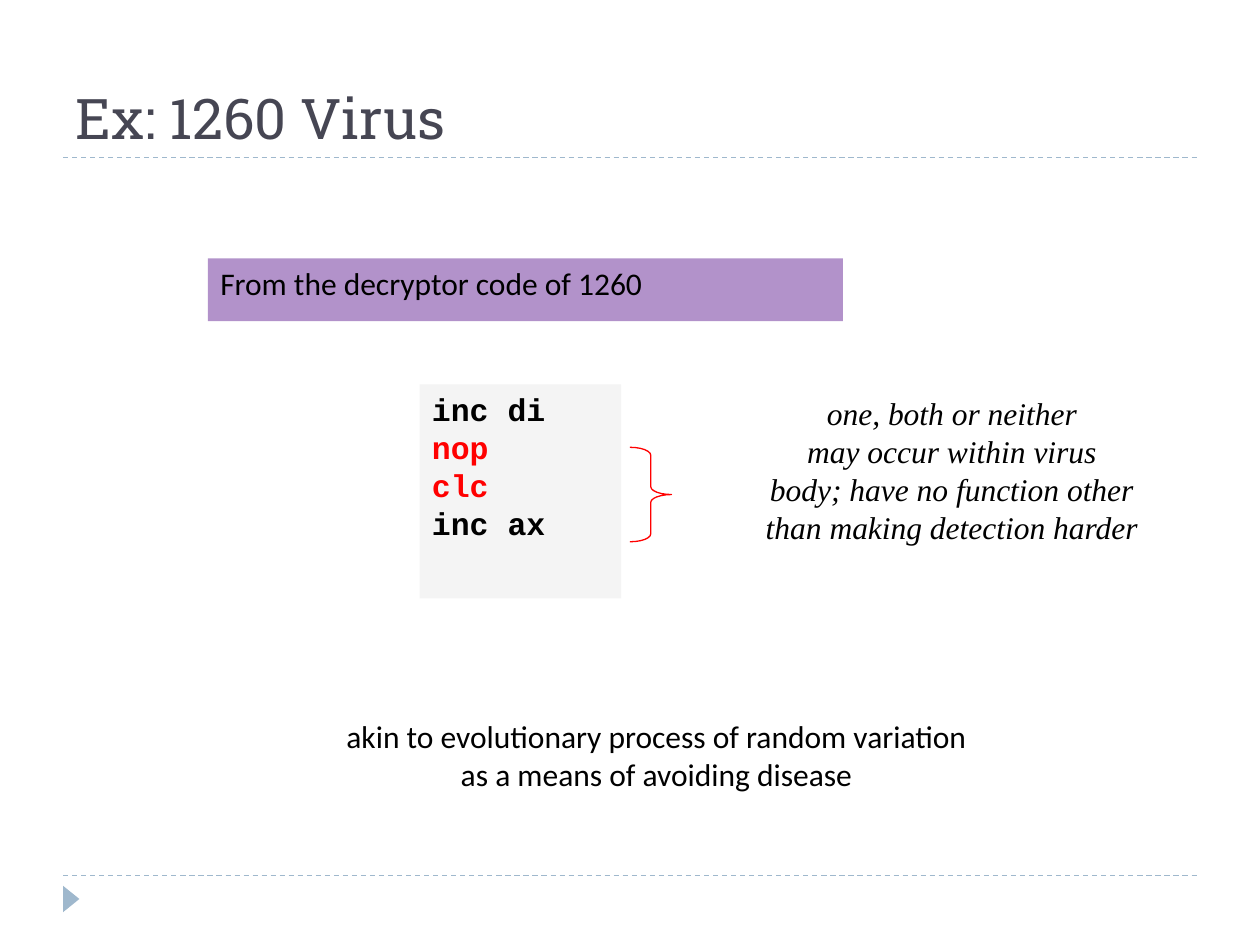
from dataclasses import dataclass

from lxml import etree
from pptx import Presentation
from pptx.dml.color import RGBColor
from pptx.enum.dml import MSO_LINE
from pptx.enum.shapes import MSO_CONNECTOR, MSO_SHAPE
from pptx.enum.text import MSO_ANCHOR, MSO_AUTO_SIZE, PP_ALIGN
from pptx.oxml.ns import qn
from pptx.util import Inches, Pt

LEFT, CENTER = PP_ALIGN.LEFT, PP_ALIGN.CENTER
TOP, BOTTOM = MSO_ANCHOR.TOP, MSO_ANCHOR.BOTTOM
NO_AUTOFIT = MSO_AUTO_SIZE.NONE
DASH = MSO_LINE.DASH
STRAIGHT = MSO_CONNECTOR.STRAIGHT
RECTANGLE = MSO_SHAPE.RECTANGLE
TRIANGLE = MSO_SHAPE.ISOSCELES_TRIANGLE
RIGHT_BRACE = MSO_SHAPE.RIGHT_BRACE

BLACK = RGBColor(0x00, 0x00, 0x00)
RED = RGBColor(0xFF, 0x00, 0x00)
SLATE = RGBColor(0x46, 0x46, 0x53)
STEEL = RGBColor(0x9F, 0xB8, 0xCD)
PURPLE = RGBColor(0xB2, 0x92, 0xCA)
PALE_GRAY = RGBColor(0xF4, 0xF4, 0xF4)

SLIDE_WIDTH, SLIDE_HEIGHT = Inches(10), Inches(7.5)
COLUMN, ROW = SLIDE_WIDTH // 100, SLIDE_HEIGHT // 75
MARGIN = 5


@dataclass(frozen=True)
class Frame:
    column: float
    row: float
    columns: float
    rows: float

    def lengths(self) -> tuple[int, int, int, int]:
        return (round(self.column * COLUMN), round(self.row * ROW),
                round(self.columns * COLUMN), round(self.rows * ROW))


@dataclass(frozen=True)
class TextPanel:
    frame: Frame
    lines: tuple[str, ...]
    font: str
    fill: RGBColor | None = None
    align: PP_ALIGN = LEFT
    bold: bool = False
    italic: bool = False
    red_lines: tuple[str, ...] = ()


PANELS = (
    TextPanel(Frame(33.3, 30.5, 16, 17), ("inc di", "nop", "clc", "inc ax"),
              "Courier New", PALE_GRAY, bold=True, red_lines=("nop", "clc")),
    TextPanel(Frame(54.8, 30.8, 41.5, 17),
              ("one, both or neither", "may occur within virus",
               "body; have no function other", "than making detection harder"),
              "Times New Roman", align=CENTER, italic=True),
    TextPanel(Frame(16.5, 20.5, 50.4, 5), ("From the decryptor code of 1260",),
              "Calibri", PURPLE),
    TextPanel(Frame(15.7, 56.4, 72.8, 9),
              ("akin to evolutionary process of random variation",
               "as a means of avoiding disease"),
              "Calibri", align=CENTER),
)


def draw_rule(page, row: float) -> None:
    rule = page.shapes.add_connector(
        STRAIGHT, MARGIN * COLUMN, round(row * ROW),
        (100 - MARGIN) * COLUMN, round(row * ROW))
    rule.line.color.rgb = STEEL
    rule.line.width = Pt(0.75)
    rule.line.dash_style = DASH
    etree.SubElement(rule._element.spPr, qn("a:effectLst"))


def draw_marker(page, frame: Frame) -> None:
    marker = page.shapes.add_shape(TRIANGLE, *frame.lengths())
    marker.rotation = 90
    marker.shadow.inherit = False
    marker.fill.solid()
    marker.fill.fore_color.rgb = STEEL
    marker.line.fill.background()


def draw_brace(page, frame: Frame) -> None:
    brace = page.shapes.add_shape(RIGHT_BRACE, *frame.lengths())
    brace.adjustments[0] = 0.19
    brace.shadow.inherit = False
    brace.fill.background()
    brace.line.color.rgb = RED
    brace.line.width = Pt(0.75)


def set_title(page, frame: Frame, text: str) -> None:
    title = page.shapes.title
    title.left, title.top, title.width, title.height = frame.lengths()
    title.text_frame.auto_size = NO_AUTOFIT
    title.text_frame.vertical_anchor = BOTTOM
    para = title.text_frame.paragraphs[0]
    para.text = text
    para.alignment = LEFT
    para.font.name = "Roboto Slab"
    para.font.size = Pt(32)
    para.font.color.rgb = SLATE


def draw_panel(page, panel: TextPanel) -> None:
    if panel.fill is None:
        box = page.shapes.add_textbox(*panel.frame.lengths())
    else:
        box = page.shapes.add_shape(RECTANGLE, *panel.frame.lengths())
        box.shadow.inherit = False
        box.fill.solid()
        box.fill.fore_color.rgb = panel.fill
        box.line.fill.background()
    text_frame = box.text_frame
    text_frame.word_wrap = True
    text_frame.vertical_anchor = TOP
    for index, line in enumerate(panel.lines):
        para = text_frame.add_paragraph() if index else text_frame.paragraphs[0]
        para.text = line
        para.alignment = panel.align
        para.font.name = panel.font
        para.font.size = Pt(18)
        para.font.bold = panel.bold
        para.font.italic = panel.italic
        para.font.color.rgb = RED if line in panel.red_lines else BLACK


def main() -> None:
    deck = Presentation()
    deck.slide_width, deck.slide_height = SLIDE_WIDTH, SLIDE_HEIGHT
    page = deck.slides.add_slide(deck.slide_layouts[5])
    for row in (69.5, 12.5):
        draw_rule(page, row)
    draw_marker(page, Frame(4.6, 70.7, 2.1, 1.3))
    set_title(page, Frame(MARGIN, 2.5, 100 - 2 * MARGIN, 10), "Ex: 1260 Virus")
    for panel in PANELS:
        draw_panel(page, panel)
    draw_brace(page, Frame(50, 35.5, 3.3, 7.5))
    deck.save("out.pptx")


if __name__ == "__main__":
    main()
